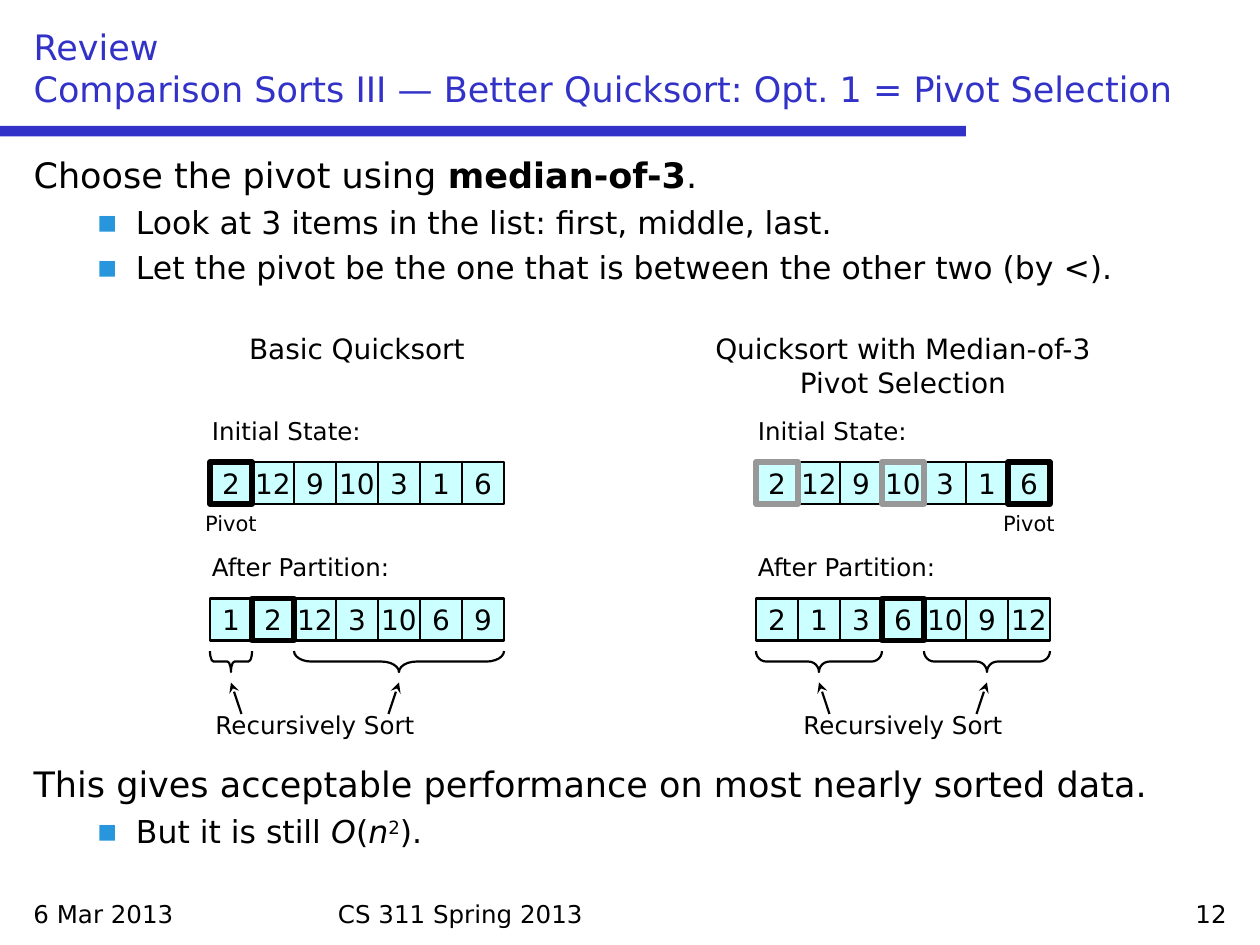
import pptx
import pptx.util
import pptx.dml.color
import pptx.enum.shapes
import pptx.enum.text
import pptx.oxml
import pptx.oxml.ns

Pt = pptx.util.Pt
ALIGN = pptx.enum.text.PP_ALIGN
ANCHOR = pptx.enum.text.MSO_ANCHOR
SHAPE = pptx.enum.shapes.MSO_SHAPE
BLACK, GRAY, BLUE, CELL_FILL, BULLET = "000000", "989898", "3232C8", "CCFFFF", "2896DC"
CELL = 24
INITIAL_TOP, PARTITION_TOP = 264, 342


def color(hex_value):
    """Turn a hex string into a colour."""
    return pptx.dml.color.RGBColor.from_string(hex_value)


def write(paragraph, runs, size, alignment=ALIGN.LEFT, hex_value=BLACK):
    """Write runs of (text, font formats) into a paragraph."""
    paragraph.alignment = alignment
    for text, extra in runs:
        run = paragraph.add_run()
        run.text = text
        run.font.color.rgb = color(hex_value)
        formats = {"name": "DejaVu Sans", "size": Pt(size), "bold": False, "italic": False}
        for name, value in {**formats, **extra}.items():
            setattr(run.font, name, value)


presentation = pptx.Presentation()
presentation.slide_width, presentation.slide_height = Pt(720), Pt(540)
slide = presentation.slides.add_slide(presentation.slide_layouts[1])
shapes = slide.shapes

# Header
rule = shapes.add_shape(SHAPE.RECTANGLE, Pt(0), Pt(72), Pt(552), Pt(6))
rule.shadow.inherit = False
rule.fill.solid()
rule.fill.fore_color.rgb = color(BLUE)
rule.line.fill.background()

title, body = shapes.title, slide.placeholders[1]
for placeholder, top, height, anchor in (
    (title, 12, 54, ANCHOR.BOTTOM),
    (body, 84, 420, ANCHOR.TOP),
):
    placement = {"left": Pt(12), "top": Pt(top), "width": Pt(696), "height": Pt(height)}
    for name, value in placement.items():
        setattr(placeholder, name, value)
    frame_format = {
        "vertical_anchor": anchor,
        "word_wrap": True,
        "auto_size": pptx.enum.text.MSO_AUTO_SIZE.NONE,
    }
    for name, value in frame_format.items():
        setattr(placeholder.text_frame, name, value)

heading = title.text_frame.paragraphs[0]
write(heading, [("Review", {})], 20, hex_value=BLUE)
heading.add_line_break()
write(heading, [("Comparison Sorts III — Better Quicksort: Opt. 1 = Pivot Selection", {})],
      20, hex_value=BLUE)

# Body points: level, space before, runs
points = [
    (0, 0, [("Choose the pivot using ", {}), ("median-of-3", {"bold": True}), (".", {})]),
    (1, 4.2, [("Look at 3 items in the list: first, middle, last.", {})]),
    (1, 4.2, [("Let the pivot be the one that is between the other two (by <).", {})]),
    (0, 272.6, [("This gives acceptable performance on most nearly sorted data.", {})]),
    (1, 4.2, [("But it is still ", {}), ("O", {"italic": True}), ("(", {}),
              ("n", {"italic": True}), ("2", {}), (").", {})]),
]
for index, (level, space, runs) in enumerate(points):
    point = body.text_frame.add_paragraph() if index else body.text_frame.paragraphs[0]
    point.level = level
    point.space_before = Pt(space)
    write(point, runs, 18 if level else 20)
    properties = point._p.get_or_add_pPr()
    margin, indent = (58.5, -22.5) if level else (27, -27)
    properties.set("marL", str(Pt(margin)))
    properties.set("indent", str(Pt(indent)))
    bullet = (
        f'<a:buClr {{0}}><a:srgbClr val="{BULLET}"/></a:buClr>',
        '<a:buFont {0} typeface="DejaVu Sans"/>',
        '<a:buChar {0} char="▪"/>',
    ) if level else ("<a:buNone {0}/>",)
    for element in bullet:
        properties.append(pptx.oxml.parse_xml(element.format(pptx.oxml.ns.nsdecls("a"))))
exponent = point.runs[4]
exponent._r.get_or_add_rPr().set("baseline", "30000")

# Labels: text, left, top, width, height, size, alignment
labels = [
    ("6 Mar 2013", 12, 510, 168, 24, 14, ALIGN.LEFT),
    ("CS 311 Spring 2013", 186, 510, 348, 24, 14, ALIGN.LEFT),
    ("12", 540, 510, 168, 24, 14, ALIGN.RIGHT),
    ("Basic Quicksort", 96, 186, 216, 26, 16, ALIGN.CENTER),
    ("Quicksort with Median-of-3 Pivot Selection", 396, 186, 240, 46, 16, ALIGN.CENTER),
]

# Variants: left, initial items, pivot, candidates, partitioned items, pivot, sort label left
variants = [
    (120, (2, 12, 9, 10, 3, 1, 6), 0, (), (1, 2, 12, 3, 10, 6, 9), 1, 96),
    (432, (2, 12, 9, 10, 3, 1, 6), 6, (0, 3), (2, 1, 3, 6, 10, 9, 12), 3, 432),
]
for left, initial, pivot, candidates, partitioned, middle, sort_left in variants:
    labels += [
        ("Initial State:", left - 6, 234, 168, 24, 14, ALIGN.LEFT),
        ("Pivot", left + pivot * CELL - 18, 288, 60, 22, 12, ALIGN.CENTER),
        ("After Partition:", left - 6, 312, 168, 24, 14, ALIGN.LEFT),
        ("Recursively Sort", sort_left, 402, 168, 24, 14, ALIGN.CENTER),
    ]

    for items, top, chosen, compared in (
        (initial, INITIAL_TOP, pivot, candidates),
        (partitioned, PARTITION_TOP, middle, ()),
    ):
        marked = {**{position: GRAY for position in compared}, chosen: BLACK}
        for position in sorted(range(len(items)), key=lambda place: place in marked):
            cell = shapes.add_shape(SHAPE.RECTANGLE, Pt(left + position * CELL), Pt(top),
                                    Pt(CELL), Pt(CELL))
            cell.shadow.inherit = False
            cell.fill.solid()
            cell.fill.fore_color.rgb = color(CELL_FILL)
            cell.line.color.rgb = color(marked.get(position, BLACK))
            cell.line.width = Pt(3 if position in marked else 1.25)
            cell.text_frame.word_wrap = False
            cell.text_frame.vertical_anchor = ANCHOR.MIDDLE
            write(cell.text_frame.paragraphs[0], [(str(items[position]), {})], 16, ALIGN.CENTER)

    # Each side of the pivot gets a brace and an arrow
    for first, last, inward in ((0, middle, 6), (middle + 1, len(partitioned), -6)):
        span = (last - first) * CELL
        center = left + (first + last) * CELL / 2
        brace = shapes.add_shape(SHAPE.LEFT_BRACE, Pt(center - 6), Pt(378 - span / 2),
                                 Pt(12), Pt(span))
        brace.rotation = 270
        brace.adjustments[0] = span / 144
        brace.shadow.inherit = False
        brace.fill.background()
        arrow = shapes.add_connector(pptx.enum.shapes.MSO_CONNECTOR.STRAIGHT,
                                     Pt(center + inward), Pt(408), Pt(center), Pt(390))
        for stroke in (brace.line, arrow.line):
            stroke.color.rgb = color(BLACK)
            stroke.width = Pt(1.25)
        arrow.line._get_or_add_ln().append(pptx.oxml.parse_xml(
            f'<a:tailEnd {pptx.oxml.ns.nsdecls("a")} type="stealth"/>'))
        arrow._element.spPr.append(pptx.oxml.parse_xml(
            f'<a:effectLst {pptx.oxml.ns.nsdecls("a")}/>'))

for text, left, top, width, height, size, alignment in labels:
    label = shapes.add_textbox(Pt(left), Pt(top), Pt(width), Pt(height))
    label.text_frame.word_wrap = True
    write(label.text_frame.paragraphs[0], [(text, {})], size, alignment)

presentation.save("out.pptx")
